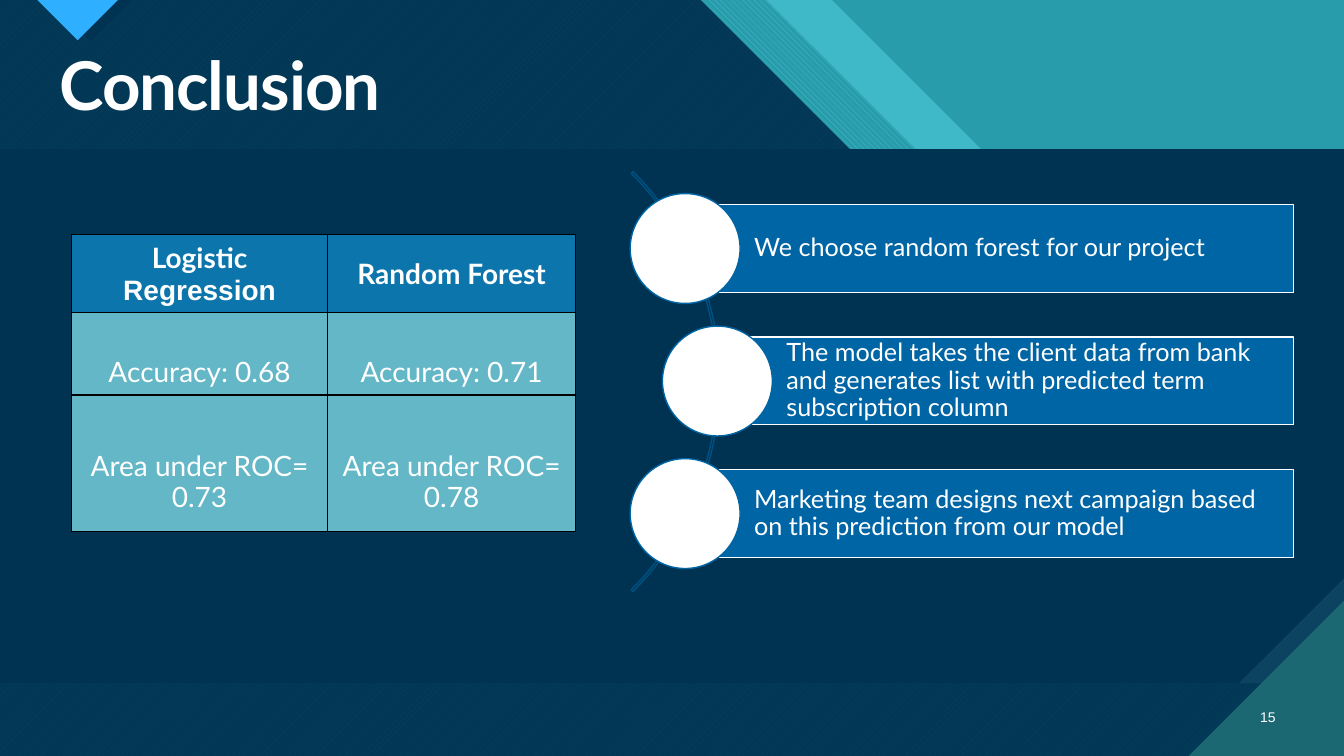
"""Build the Conclusion slide with a results table and three takeaways."""
from dataclasses import dataclass

from lxml import etree
from pptx import Presentation
from pptx.dml.color import RGBColor
from pptx.enum.dml import MSO_PATTERN
from pptx.enum.shapes import MSO_SHAPE
from pptx.enum.text import MSO_ANCHOR, PP_ALIGN
from pptx.oxml.ns import qn
from pptx.util import Inches, Pt

RECT, OVAL = MSO_SHAPE.RECTANGLE, MSO_SHAPE.OVAL
SNIP, ARC = MSO_SHAPE.SNIP_1_RECTANGLE, MSO_SHAPE.BLOCK_ARC
DOWN_DIAG, UP_DIAG = MSO_PATTERN.WIDE_DOWNWARD_DIAGONAL, MSO_PATTERN.WIDE_UPWARD_DIAGONAL
MIDDLE = MSO_ANCHOR.MIDDLE
LEFT, CENTER, RIGHT = PP_ALIGN.LEFT, PP_ALIGN.CENTER, PP_ALIGN.RIGHT
W, H = 13.33, 7.5
WHITE, NAVY, TEAL, AQUA = "FFFFFF", "003352", "299CAB", "47C3D3"
DARK_TEAL, BLUE, SKY = "1B6872", "0065A4", "2FAFFF"


@dataclass
class Polygon:
    points: list
    color: str
    pattern: object = None
    back: str = ""
    alpha: int = 100


@dataclass
class Takeaway:
    left: float
    text: str


@dataclass
class Cell:
    runs: list
    fill: str = "63B7C6"
    bold: bool = False
    top: float = 0.05
    spacing: float = 1.0


def band(right: float) -> list:
    return [(0, 0), (right, 0), (right + H, H), (0, H)]


POLYGONS = [
    Polygon(band(8.25), AQUA, alpha=74),
    Polygon(band(7.6), AQUA, DOWN_DIAG, TEAL),
    Polygon(band(6.95), AQUA, UP_DIAG, DARK_TEAL),
    Polygon(band(6.95), NAVY, alpha=90),
    Polygon([(0.48, 0), (1.31, 0), (0.9, 0.41)], NAVY),
    Polygon([(0.37, 0), (1.17, 0), (0.77, 0.4)], SKY),
]
CORNER = Polygon([(11.79, H), (W, H), (W, 5.96)], DARK_TEAL)
TAKEAWAYS = [
    Takeaway(6.79, "We choose random forest for our project"),
    Takeaway(7.11, "The model takes the client data from bank and generates list "
                   "with predicted term subscription column"),
    Takeaway(6.79, "Marketing team designs next campaign based on this prediction "
                   "from our model"),
]
HEADER = "0C75AC"
ROWS = [
    [Cell([("Logistic", "Lato"), (" Regression", "Arial")], HEADER, True),
     Cell([("Random Forest", "Lato")], HEADER, True)],
    [Cell([(f"Accuracy: {v}", "Lato")], top=0.41) for v in ("0.68", "0.71")],
    [Cell([(f"Area under ROC= {v}", "Lato")], top=0.44, spacing=0.9)
     for v in ("0.73", "0.78")],
]


def rgb(color: str) -> RGBColor:
    return RGBColor.from_string(color)


def style(sp, fill: str = "", line: str = "") -> None:
    sp.shadow.inherit = False
    if fill:
        sp.fill.solid()
        sp.fill.fore_color.rgb = rgb(fill)
    else:
        sp.fill.background()
    if line:
        sp.line.color.rgb = rgb(line)
        sp.line.width = Pt(1)
    else:
        sp.line.fill.background()


def add_shape(s, kind, x: float, y: float, w: float, h: float, fill: str = "", line: str = ""):
    sp = s.shapes.add_shape(kind, Inches(x), Inches(y), Inches(w), Inches(h))
    style(sp, fill, line)
    return sp


def add_polygon(s, poly: Polygon) -> None:
    pts = [(Inches(x), Inches(y)) for x, y in poly.points if x <= W]
    if len(pts) < len(poly.points):
        right = poly.points[1][0]
        pts[2:2] = [(Inches(W), Inches(W - right)), (Inches(W), Inches(H))]
    builder = s.shapes.build_freeform(*pts[0], scale=1.0)
    builder.add_line_segments(pts[1:], close=True)
    sp = builder.convert_to_shape()
    style(sp, poly.color)
    if poly.pattern is not None:
        sp.fill.patterned()
        sp.fill.pattern = poly.pattern
        sp.fill.fore_color.rgb = rgb(poly.color)
        sp.fill.back_color.rgb = rgb(poly.back)
    if poly.alpha < 100:
        clr = sp.element.spPr.find(qn("a:solidFill")).find(qn("a:srgbClr"))
        etree.SubElement(clr, qn("a:alpha")).set("val", str(poly.alpha * 1000))


def format_run(r, size: int, font: str = "Lato", bold: bool = False) -> None:
    r.font.size = Pt(size)
    r.font.name = font
    r.font.bold = bold
    r.font.color.rgb = rgb(WHITE)


def set_text(sp, text: str, size: int, font: str = "Lato", bold: bool = False,
             align=LEFT, spacing: float = 1.0):
    tf = sp.text_frame
    tf.word_wrap = True
    tf.text = text
    p = tf.paragraphs[0]
    p.alignment = align
    p.line_spacing = spacing
    format_run(p.runs[0], size, font, bold)
    return tf


def add_text(s, x: float, y: float, w: float, h: float):
    return s.shapes.add_textbox(Inches(x), Inches(y), Inches(w), Inches(h))


def add_border(cell) -> None:
    tc_pr = cell._tc.get_or_add_tcPr()
    for i, side in enumerate(("lnL", "lnR", "lnT", "lnB")):
        ln = etree.Element(qn(f"a:{side}"), w=str(Pt(1)))
        fill = etree.SubElement(ln, qn("a:solidFill"))
        etree.SubElement(fill, qn("a:srgbClr"), val="000000")
        tc_pr.insert(i, ln)


def add_results(s) -> None:
    tbl = s.shapes.add_table(3, 2, Inches(0.71), Inches(2.33), Inches(5), Inches(2.94)).table
    for col, width in zip(tbl.columns, (2.54, 2.46)):
        col.width = Inches(width)
    for row, height in zip(tbl.rows, (0.77, 0.82, 1.35)):
        row.height = Inches(height)
    for i, row in enumerate(ROWS):
        for j, item in enumerate(row):
            cell = tbl.cell(i, j)
            cell.fill.solid()
            cell.fill.fore_color.rgb = rgb(item.fill)
            cell.vertical_anchor = MIDDLE
            cell.margin_top = Inches(item.top)
            p = cell.text_frame.paragraphs[0]
            p.alignment = CENTER
            p.line_spacing = item.spacing
            for text, font in item.runs:
                r = p.add_run()
                r.text = text
                format_run(r, 20, font, item.bold)
            add_border(cell)


def add_takeaways(s) -> None:
    arc = add_shape(s, ARC, 1.25, 0.84, 5.89, 5.89, line="005183")
    for i, value in enumerate((189, 27, 0.004)):
        arc.adjustments[i] = value
    for i, item in enumerate(TAKEAWAYS):
        y = 2.03 + 1.315 * i
        box = add_shape(s, RECT, item.left, y, 12.83 - item.left, 0.87, BLUE, WHITE)
        tf = set_text(box, item.text, 18, spacing=0.9)
        tf.vertical_anchor = MIDDLE
        tf.margin_left = Inches(0.69)
        tf.margin_right = tf.margin_top = tf.margin_bottom = Inches(0.05)
        add_shape(s, OVAL, item.left - 0.54, y - 0.11, 1.09, 1.09, WHITE, BLUE)


def main() -> None:
    prs = Presentation()
    prs.slide_width, prs.slide_height = Inches(W), Inches(H)
    s = prs.slides.add_slide(prs.slide_layouts[6])
    add_shape(s, RECT, 0, 0, W, H, TEAL)
    for poly in POLYGONS:
        add_polygon(s, poly)
    add_shape(s, RECT, 0, 1.48, W, 5.3, "0C4360")
    panel = add_shape(s, SNIP, 0, 1.48, W, 5.3, NAVY)
    panel.adjustments[0] = 0.197
    panel.element.spPr.find(qn("a:xfrm")).set("flipV", "1")
    add_polygon(s, CORNER)
    title = set_text(add_text(s, 0.49, 0.47, 5.84, 1.05), "Conclusion", 48, bold=True, spacing=0.9)
    title.paragraphs[0].runs[0].font._element.set("spc", "-70")
    number = set_text(add_text(s, 12.31, 6.91, 0.44, 0.4), "15", 10, "Arial", align=RIGHT)
    number.vertical_anchor = MIDDLE
    add_results(s)
    add_takeaways(s)
    prs.save("out.pptx")


if __name__ == "__main__":
    main()
